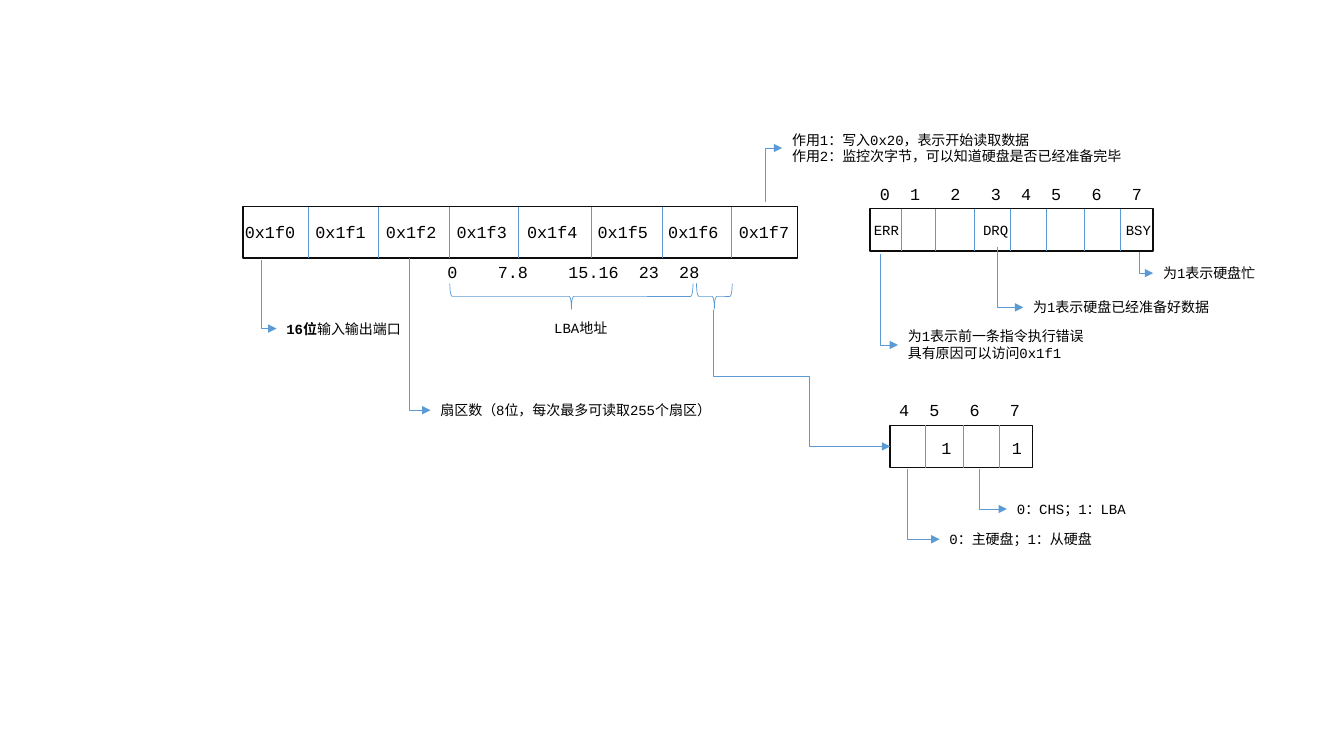
from lxml.etree import SubElement
from pptx import Presentation
from pptx.dml.color import RGBColor
from pptx.enum.shapes import MSO_CONNECTOR, MSO_SHAPE
from pptx.enum.text import MSO_AUTO_SIZE
from pptx.oxml.ns import qn
from pptx.util import Pt

BLUE = RGBColor(0x5B, 0x9B, 0xD5)
BORDER = RGBColor(0x0D, 0x0D, 0x0D)
BLACK = RGBColor(0, 0, 0)
WHITE = RGBColor(0xFF, 0xFF, 0xFF)
FONT = "Courier New"


def add_label(slide, left, top, width, lines, size=10, columns=(), bold_lead=""):
    """Add text whose tabs stop at the given character columns."""
    height = 7 + len(lines) * size * 1.22
    shape = slide.shapes.add_textbox(Pt(left), Pt(top), Pt(width), Pt(height))
    frame = shape.text_frame
    frame.word_wrap = True
    frame.auto_size = MSO_AUTO_SIZE.SHAPE_TO_FIT_TEXT
    for index, line in enumerate(lines):
        paragraph = frame.paragraphs[0] if index == 0 else frame.add_paragraph()
        if bold_lead:
            run = paragraph.add_run()
            run.text = bold_lead
            run.font.bold = True
        paragraph.add_run().text = line
        paragraph.font.name = FONT
        paragraph.font.size = Pt(size)
        paragraph.font.color.rgb = BLACK
        if columns:
            properties = paragraph._p.get_or_add_pPr()
            tabs = SubElement(properties, qn("a:tabLst"))
            properties.insert(0, tabs)
            for column in columns:
                position = str(Pt(column * size * 0.6))
                SubElement(tabs, qn("a:tab"), pos=position, algn="l")


def add_line(slide, kind, left, top, right, bottom):
    """Add a thin blue connector without a shadow."""
    connector = slide.shapes.add_connector(kind, Pt(left), Pt(top), Pt(right), Pt(bottom))
    connector.line.color.rgb = BLUE
    connector.line.width = Pt(0.5)
    SubElement(connector._element.spPr, qn("a:effectLst"))
    return connector


def add_elbow(slide, start, end, preset="bentConnector2", adjustments=()):
    """Add an arrow that leaves vertically and arrives horizontally."""
    (x1, y1), (x2, y2) = start, end
    center_x, center_y = (x1 + x2) / 2, (y1 + y2) / 2
    half_width, half_height = abs(y2 - y1) / 2, abs(x2 - x1) / 2
    connector = add_line(slide, MSO_CONNECTOR.ELBOW,
                         center_x - half_width, center_y - half_height,
                         center_x + half_width, center_y + half_height)
    properties = connector._element.spPr
    transform = properties.find(qn("a:xfrm"))
    transform.set("rot", str((270 if y2 > y1 else 90) * 60000))
    transform.set("flipH", "1")
    if y2 < y1:
        transform.set("flipV", "1")
    geometry = properties.find(qn("a:prstGeom"))
    geometry.set("prst", preset)
    for number, value in enumerate(adjustments, 1):
        SubElement(geometry.find(qn("a:avLst")), qn("a:gd"),
                   name=f"adj{number}", fmla=f"val {round(value * 100000)}")
    SubElement(connector.line._get_or_add_ln(), qn("a:tailEnd"), type="triangle")


def add_callout(slide, start, end, width, lines, bold_lead=""):
    """Add an elbow arrow with its explanation centred on the tip."""
    add_elbow(slide, start, end)
    half_height = (7 + len(lines) * 12.2) / 2
    add_label(slide, end[0], end[1] - half_height, width, lines, bold_lead=bold_lead)


def add_field(slide, left, top, width, height, dividers):
    """Add a bordered strip split into cells at the given offsets."""
    strip = slide.shapes.add_shape(MSO_SHAPE.RECTANGLE, Pt(left), Pt(top), Pt(width), Pt(height))
    strip.shadow.inherit = False
    strip.fill.solid()
    strip.fill.fore_color.rgb = WHITE
    strip.line.color.rgb = BORDER
    strip.line.width = Pt(1)
    for offset in dividers:
        x = left + offset
        add_line(slide, MSO_CONNECTOR.STRAIGHT, x, top, x, top + height)


def add_brace(slide, left, top, width, height):
    """Add a brace that opens upward and fills the given box."""
    brace = slide.shapes.add_shape(MSO_SHAPE.RIGHT_BRACE,
                                   Pt(left + (width - height) / 2),
                                   Pt(top + (height - width) / 2), Pt(height), Pt(width))
    brace.rotation = 90
    brace.shadow.inherit = False
    brace.fill.background()
    brace.line.color.rgb = BLUE
    brace.line.width = Pt(0.5)


def add_ports(slide, left, top, width, height):
    """Draw the port strip with its address bits and explanations."""
    bottom = top + height
    add_field(slide, left, top, width, height, (47, 96.5, 147.5, 197, 249, 299.5, 349))
    names = "\t".join(f"0x1f{port}" for port in range(8))
    add_label(slide, left - 5.7, top + 7.2, 425, [names], 12, range(7, 50, 7))
    add_label(slide, left + 139, bottom - 0.8, 245.5, ["0\t7.8\t15.16\t23\t28"], 12, (5, 12, 19, 23))
    add_brace(slide, left + 147.8, bottom + 18.2, 173.7, 18.4)
    add_brace(slide, left + 324, bottom + 18.2, 25.5, 18.4)
    add_label(slide, left + 215.3, bottom + 40.3, 67, ["LBA地址"])
    add_callout(slide, (left + 13.2, bottom + 1.4), (left + 24, bottom + 50.4), 98,
                ["输入输出端口"], bold_lead="16位")
    add_callout(slide, (left + 119, bottom), (left + 134, bottom + 108.7), 245.5,
                ["扇区数（8位，每次最多可读取255个扇区）"])
    add_callout(slide, (left + 373, top - 3.6), (left + 385.2, top - 41.8), 306.7,
                ["作用1：写入0x20，表示开始读取数据",
                 "作用2：监控次字节，可以知道硬盘是否已经准备完毕"])


def add_status(slide, left, top, width, height):
    """Draw the status byte with its flags and explanations."""
    bottom = top + height
    add_field(slide, left, top, width, height, (22.3, 46.8, 74.9, 100.1, 126, 153.4, 178.6))
    bits = "\t".join(str(bit) for bit in range(8))
    add_label(slide, left, top - 21.6, 207.4, [bits], 12, (3, 7, 11, 14, 17, 21, 25))
    add_label(slide, left - 4.3, top + 5.8, 229.7, ["ERR\tDRQ\tBSY"], columns=(13, 30))
    add_callout(slide, (left + 7.4, bottom + 2.2), (left + 20, bottom + 67.2), 169.2,
                ["为1表示前一条指令执行错误", "具有原因可以访问0x1f1"])
    add_callout(slide, (left + 90.7, bottom - 2.8), (left + 109.5, bottom + 40.4), 169.2,
                ["为1表示硬盘已经准备好数据"])
    add_callout(slide, (left + 192.2, bottom + 0.8), (left + 202.3, bottom + 15.9), 80.6,
                ["为1表示硬盘忙"])


def add_device(slide, left, top, width, height):
    """Draw the four device bits with their explanations."""
    bottom = top + height
    add_field(slide, left, top, width, height, (25.2, 52.6, 77.8))
    add_label(slide, left - 0.7, top - 21.6, 118.8, ["4\t5\t6\t7"], 12, (3, 7, 11))
    add_label(slide, left + 29.5, top + 5.1, 93.6, ["1\t1"], 12, (7,))
    add_elbow(slide, (left - 126, top - 82.6), (left, top + height / 2),
              "bentConnector4", (0.49, 0.54))
    add_callout(slide, (left + 12.2, bottom + 0.8), (left + 35.3, bottom + 51.2), 138.2,
                ["0：主硬盘；1：从硬盘"])
    add_callout(slide, (left + 64, bottom + 0.8), (left + 83.5, bottom + 29.6), 138.2,
                ["0：CHS；1：LBA"])


def main():
    """Build the slide of hard disk ports and save it."""
    presentation = Presentation()
    presentation.slide_width = Pt(960)
    presentation.slide_height = Pt(540)
    slide = presentation.slides.add_slide(presentation.slide_layouts[6])
    add_ports(slide, 173.5, 147.6, 396, 36.7)
    add_status(slide, 621.4, 149, 202.3, 30.2)
    add_device(slide, 635.8, 303.8, 101.5, 30.2)
    presentation.save("out.pptx")


if __name__ == "__main__":
    main()
